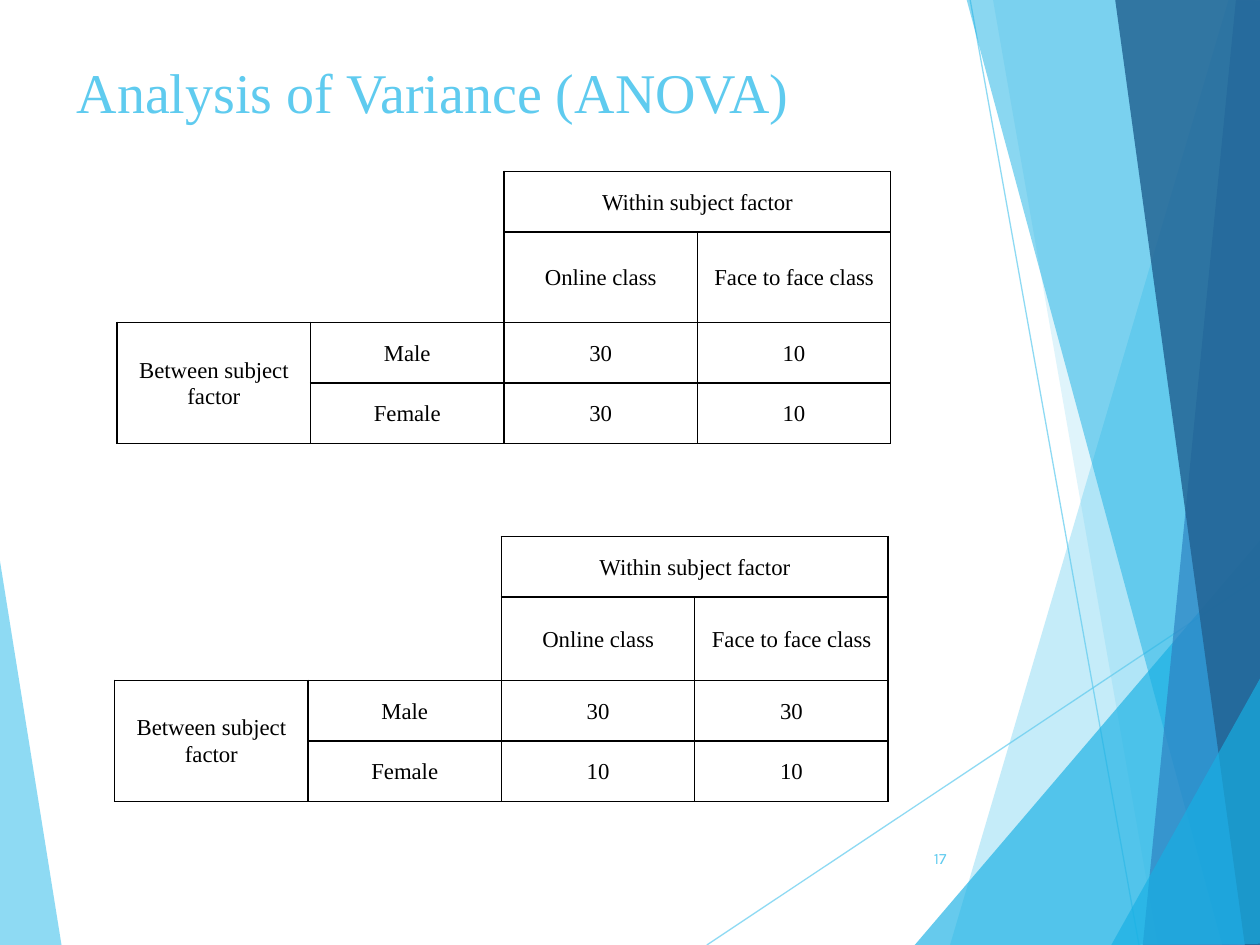
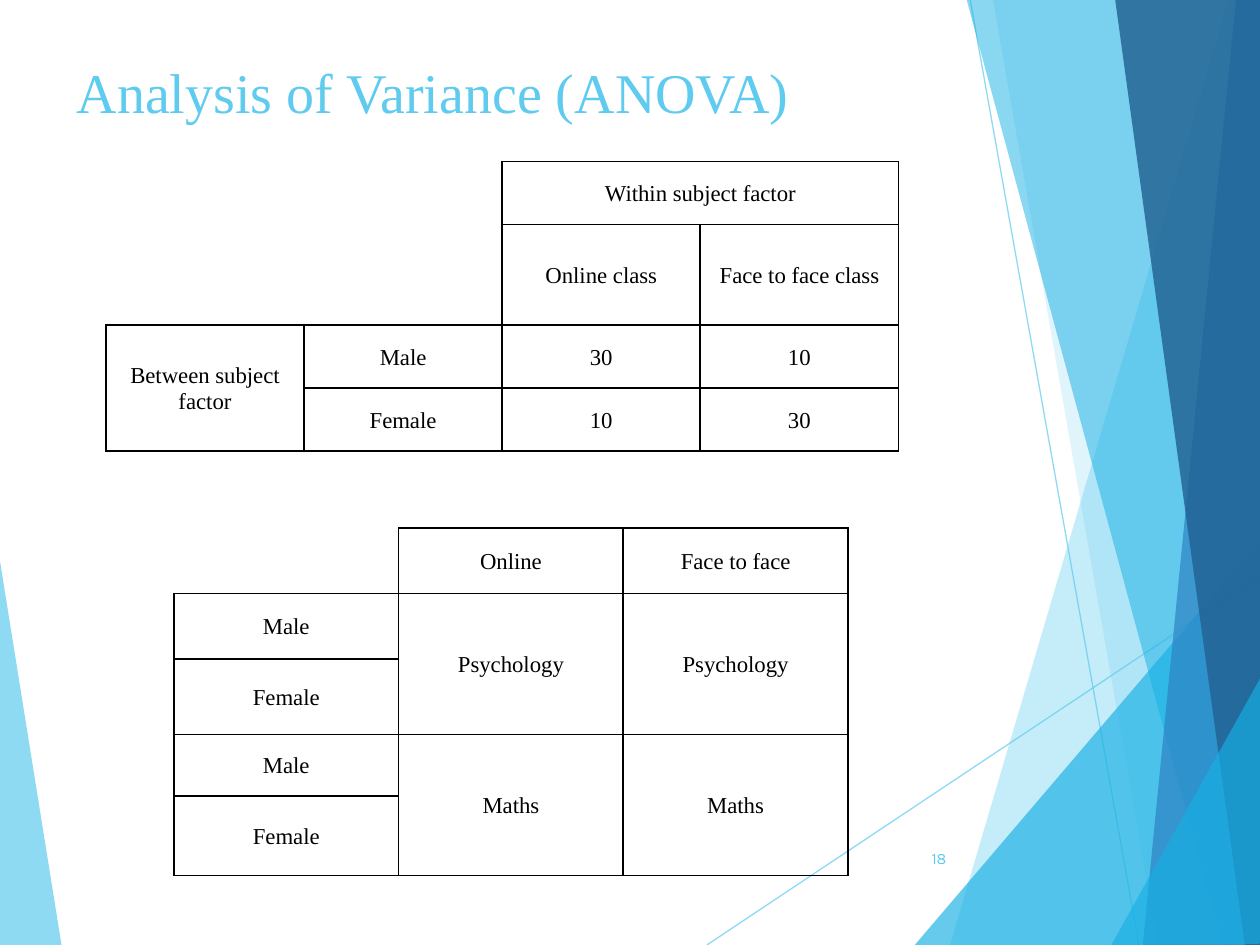
from pptx import Presentation
from pptx.dml.color import RGBColor as Rgb
from pptx.enum.shapes import MSO_CONNECTOR as Link
from pptx.enum.text import MSO_ANCHOR as Anchor, PP_ALIGN as Align
from pptx.oxml.ns import qn
from pptx.util import Inches, Pt
from lxml.etree import SubElement as Sub

HUES = {
    "sky": "5FCBEF",
    "cyan": "17B0E4",
    "blue": "2E83C3",
    "navy": "226292",
    "ink": "000000",
}
SERIF = "Times New Roman"

# Left wedge, two thin lines, then the right-hand facets, back to front
WEDGE = ("sky", 70, [(-0.01, 4.39), (0.49, 7.51), (-0.01, 7.5)])
RAYS = [((5.61, 7.5), (10.01, 4.57)), ((7.7, 0), (9.04, 7.5))]
FACETS = [
    ("sky", 36, [(9.75, 0), (7.54, 7.5), (10.02, 7.51), (10.01, 0.01)]),
    ("sky", 20, [(7.88, -0.01), (9.19, 7.5), (10.01, 7.5), (10.01, -0.01)]),
    ("cyan", 66, [(7.26, 7.5), (10, 4.29), (10.01, 7.5)]),
    ("cyan", 50, [(7.67, -0.01), (9.7, 7.5), (10.01, 7.49), (10.01, -0.01)]),
    ("blue", 70, [(9.81, -0.01), (9.07, 7.5), (10.01, 7.5), (10, -0.01)]),
    ("navy", 82, [(8.85, -0.01), (9.88, 7.5), (10.02, 7.5), (10, -0.01)]),
    ("cyan", 66, [(8.82, 7.5), (10.02, 5.35), (10.02, 7.49)]),
]

FACTOR_SPANS = {(0, 0): (2, 2), (0, 2): (1, 2), (2, 0): (2, 1)}
COURSE_SPANS = {(0, 0): (1, 1), (1, 1): (2, 1), (1, 2): (2, 1),
                (3, 1): (2, 1), (3, 2): (2, 1)}
COURSES = [
    ["", "Online", "Face to face"],
    ["Male", "Psychology", "Psychology"],
    ["Female", "", ""],
    ["Male", "Maths", "Maths"],
    ["Female", "", ""],
]


def hue(name):
    return Rgb.from_string(HUES[name])


def apply(item, form):
    for key, val in form.items():
        setattr(item, key, val)


def fade(shape, alpha):
    """Set the opacity, in percent, of the shape's only colour."""
    tint = next(shape._element.spPr.iter(qn("a:srgbClr")))
    Sub(tint, qn("a:alpha"), val=str(alpha * 1000))


def add_facet(slide, name, alpha, points):
    dots = [(Inches(x), Inches(y)) for x, y in points]
    pen = slide.shapes.build_freeform(*dots[0])
    pen.add_line_segments(dots[1:], close=True)
    facet = pen.convert_to_shape()
    facet.shadow.inherit = False
    facet.fill.solid()
    facet.fill.fore_color.rgb = hue(name)
    facet.line.fill.background()
    fade(facet, alpha)


def add_ray(slide, start, end):
    ends = [Inches(v) for v in (*start, *end)]
    ray = slide.shapes.add_connector(Link.STRAIGHT, *ends)
    ray.line.color.rgb = hue("sky")
    ray.line.width = Pt(0.75)
    fade(ray, 70)
    Sub(ray._element.spPr, qn("a:effectLst"))


def write(frame, text, face, size, name, form):
    para = frame.paragraphs[0]
    apply(para, form)
    run = para.add_run()
    run.text = text
    apply(run.font, {"name": face, "size": Pt(size), "bold": False})
    run.font.color.rgb = hue(name)


def add_label(slide, box, text, face, size, frame, para):
    label = slide.shapes.add_textbox(*[Inches(v) for v in box])
    apply(label.text_frame, {"word_wrap": True, **frame})
    write(label.text_frame, text, face, size, "sky", para)


def add_edges(cell, shown):
    """Draw the sides in shown (letters of LRTB) and clear the rest."""
    props = cell._tc.get_or_add_tcPr()
    for side in "LRTB":
        edge = Sub(props, qn("a:ln" + side), w=str(Pt(1)))
        if side in shown:
            fill = Sub(edge, qn("a:solidFill"))
            Sub(fill, qn("a:srgbClr"), val=HUES["ink"])
        else:
            Sub(edge, qn("a:noFill"))


def add_grid(slide, left, top, width, heights, texts, spans):
    """Add a ruled table whose top left block stays open."""
    count = len(texts[0])
    size = [Inches(v) for v in (left, top, width, sum(heights))]
    table = slide.shapes.add_table(len(texts), count, *size).table
    apply(table, {"first_row": False, "horz_banding": False})
    for col in table.columns:
        col.width = Inches(width / count)
    for row, high in zip(table.rows, heights):
        row.height = Inches(high)
    for (r, c), (down, wide) in spans.items():
        if (down, wide) != (1, 1):
            table.cell(r, c).merge(table.cell(r + down - 1, c + wide - 1))
    deep, broad = spans[0, 0]
    form = {"margin_left": Inches(0.07), "margin_right": Inches(0.07),
            "margin_top": 0, "margin_bottom": 0,
            "vertical_anchor": Anchor.MIDDLE}
    for r, line in enumerate(texts):
        for c, text in enumerate(line):
            cell = table.cell(r, c)
            apply(cell, form)
            blank = r < deep and c < broad
            shown = "LRTB" if not blank else "" if cell.is_spanned else "RB"
            add_edges(cell, shown)
            cell.fill.background()
            if text:
                write(cell.text_frame, text, SERIF, 13, "ink",
                      {"alignment": Align.CENTER, "line_spacing": 1.07})


def add_factors(slide, left, top, width, heights, male, female):
    """Add the two-factor table with one pair of values for each sex."""
    texts = [
        ["", "", "Within subject factor", ""],
        ["", "", "Online class", "Face to face class"],
        ["Between subject factor", "Male", *male],
        ["", "Female", *female],
    ]
    add_grid(slide, left, top, width, heights, texts, FACTOR_SPANS)


def add_page(deck, number):
    page = deck.slides.add_slide(deck.slide_layouts[6])
    add_facet(page, *WEDGE)
    for ray in RAYS:
        add_ray(page, *ray)
    for facet in FACETS:
        add_facet(page, *facet)
    add_label(page, (0.51, 0.36, 6.94, 0.48), "Analysis of Variance (ANOVA)",
              SERIF, 32, {"margin_top": Inches(0.1)}, {})
    add_label(page, (7.05, 6.61, 0.56, 0.4), str(number), "Karla", 9,
              {"vertical_anchor": Anchor.MIDDLE}, {"alignment": Align.RIGHT})
    return page


def main():
    deck = Presentation()
    apply(deck, {"slide_width": Inches(10), "slide_height": Inches(7.5)})

    page = add_page(deck, 17)
    add_factors(page, 0.93, 1.36, 6.14, [0.48, 0.72, 0.48, 0.48],
                ("30", "10"), ("30", "10"))
    add_factors(page, 0.91, 4.26, 6.14, [0.48, 0.66, 0.48, 0.48],
                ("30", "30"), ("10", "10"))

    page = add_page(deck, 18)
    add_factors(page, 0.84, 1.28, 6.29, [0.5, 0.8, 0.5, 0.5],
                ("30", "10"), ("10", "30"))
    add_grid(page, 1.38, 4.19, 5.35, [0.52, 0.52, 0.6, 0.49, 0.63],
             COURSES, COURSE_SPANS)

    deck.save("out.pptx")


if __name__ == "__main__":
    main()
